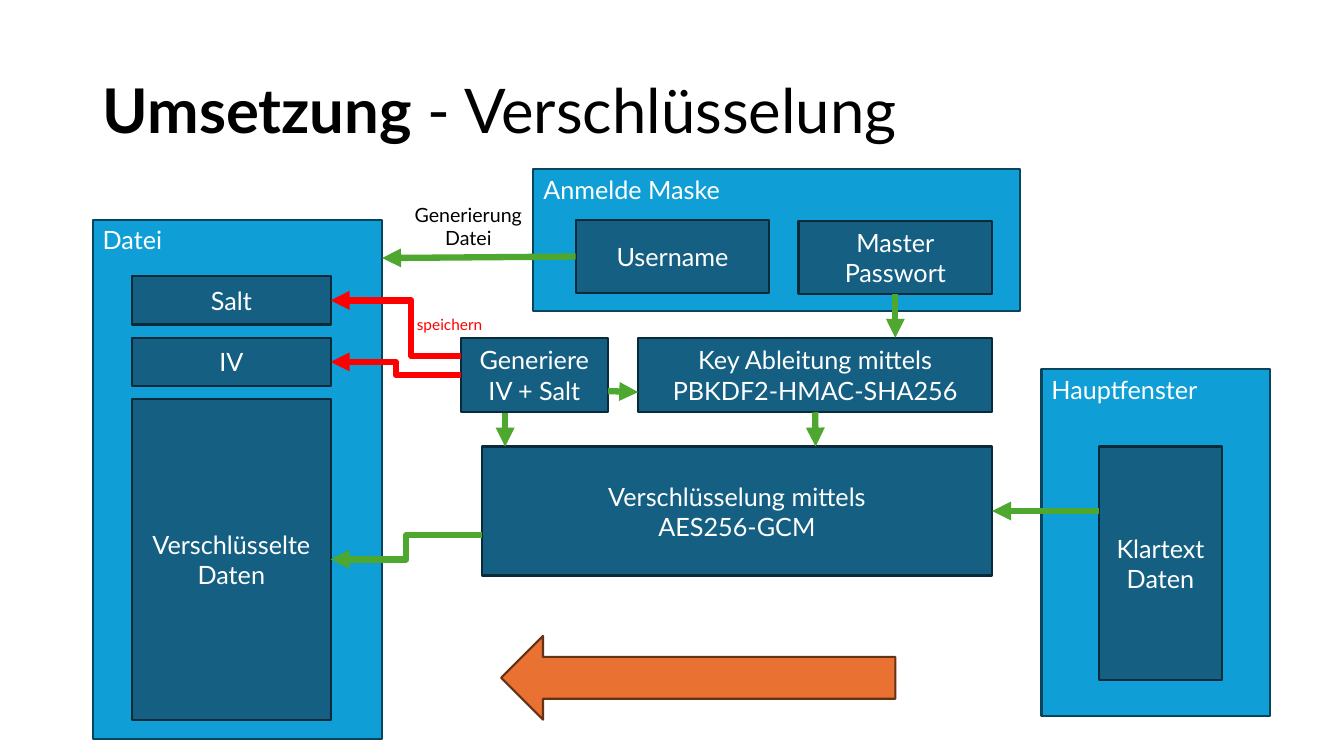
from dataclasses import dataclass
from lxml.etree import SubElement
from pptx import Presentation
from pptx.dml.color import RGBColor
from pptx.enum.shapes import MSO_CONNECTOR, MSO_SHAPE
from pptx.enum.text import MSO_ANCHOR, PP_ALIGN
from pptx.oxml.ns import qn
from pptx.util import Inches, Pt


@dataclass(frozen=True)
class Theme:
    font: str = "Lato"
    panel: str = "0F9ED5"
    rim: str = "07455D"
    box: str = "156082"
    edge: str = "092A39"
    green: str = "4EA72E"
    red: str = "FF0000"
    orange: str = "E97132"
    brown: str = "663216"
    white: str = "FFFFFF"
    black: str = "000000"
    title: int = 44
    body: int = 18
    label: int = 14
    small: int = 11
    border: float = 1.5
    arrow: float = 4.5


THEME = Theme()
TOP, LEFT, BOTTOM, RIGHT = range(4)


def color(code):
    return RGBColor.from_string(code)


def write(para, text, size, tone, bold=False):
    run = para.add_run()
    run.text = text
    run.font.name = THEME.font
    run.font.size = Pt(size)
    run.font.bold = bold
    run.font.color.rgb = color(tone)


def fill_text(frame, lines, size, tone, align):
    for i, line in enumerate(lines):
        para = frame.add_paragraph() if i else frame.paragraphs[0]
        para.alignment = align
        write(para, line, size, tone)


def add_block(slide, area, fill, line, kind=MSO_SHAPE.RECTANGLE):
    shape = slide.shapes.add_shape(kind, *map(Inches, area))
    shape.shadow.inherit = False
    shape.fill.solid()
    shape.fill.fore_color.rgb = color(fill)
    shape.line.color.rgb = color(line)
    shape.line.width = Pt(THEME.border)
    return shape


def add_panel(slide, area, name):
    frame = add_block(slide, area, THEME.panel, THEME.rim).text_frame
    frame.vertical_anchor = MSO_ANCHOR.TOP
    fill_text(frame, [name], THEME.body, THEME.white, PP_ALIGN.LEFT)


def add_box(slide, area, *lines):
    shape = add_block(slide, area, THEME.box, THEME.edge)
    frame = shape.text_frame
    frame.vertical_anchor = MSO_ANCHOR.MIDDLE
    fill_text(frame, lines, THEME.body, THEME.white, PP_ALIGN.CENTER)
    return shape


def add_label(slide, area, lines, size, tone):
    frame = slide.shapes.add_textbox(*map(Inches, area)).text_frame
    frame.word_wrap = False
    fill_text(frame, lines, size, tone, PP_ALIGN.CENTER)


def add_title(slide):
    area = map(Inches, (0.92, 0.4, 11.5, 1.45))
    frame = slide.shapes.add_textbox(*area).text_frame
    frame.word_wrap = True
    frame.vertical_anchor = MSO_ANCHOR.MIDDLE
    para = frame.paragraphs[0]
    para.line_spacing = 0.9
    write(para, "Umsetzung", THEME.title, THEME.black, True)
    write(para, " - Verschlüsselung", THEME.title, THEME.black)


def add_arrow(slide, tip, tail, tone=THEME.green, bend=None, into=None, out=None):
    kind = MSO_CONNECTOR.ELBOW if bend else MSO_CONNECTOR.STRAIGHT
    link = slide.shapes.add_connector(kind, *map(Inches, tip + tail))
    link.line.color.rgb = color(tone)
    link.line.width = Pt(THEME.arrow)
    if into:
        link.begin_connect(*into)
    if out:
        link.end_connect(*out)
    props = link._element.spPr
    SubElement(props.find(qn("a:ln")), qn("a:headEnd"), type="triangle")
    SubElement(props, qn("a:effectLst"))
    if bend:
        guides = props.find(qn("a:prstGeom")).find(qn("a:avLst"))
        SubElement(guides, qn("a:gd"), name="adj1", fmla=f"val {round(bend * 100000)}")


def main():
    deck = Presentation()
    deck.slide_width, deck.slide_height = Inches(13.33), Inches(7.5)
    slide = deck.slides.add_slide(deck.slide_layouts[6])

    add_panel(slide, (10.33, 3.66, 2.27, 3.44), "Hauptfenster")
    add_panel(slide, (5.29, 1.68, 4.83, 1.41), "Anmelde Maske")
    add_panel(slide, (0.92, 2.18, 2.87, 5.15), "Datei")
    add_title(slide)

    cipher = add_box(slide, (4.78, 4.43, 5.06, 1.28), "Verschlüsselung mittels", "AES256-GCM")
    salt = add_box(slide, (1.31, 2.74, 1.97, 0.48), "Salt")
    vector = add_box(slide, (1.31, 3.35, 1.97, 0.48), "IV")
    secret = add_box(slide, (1.31, 3.96, 1.97, 3.18), "Verschlüsselte", "Daten")
    master = add_box(slide, (7.92, 2.19, 1.92, 0.73), "Master", "Passwort")
    key = add_box(slide, (6.33, 3.35, 3.51, 0.74), "Key Ableitung mittels", "PBKDF2-HMAC-SHA256")
    add_box(slide, (10.9, 4.43, 1.22, 2.32), "Klartext", "Daten")
    user = add_box(slide, (5.71, 2.18, 1.92, 0.73), "Username")
    add_box(slide, (4.57, 3.35, 1.46, 0.74), "Generiere", "IV + Salt")

    add_arrow(slide, (3.28, 2.98), (4.57, 3.53), THEME.red, 0.62, into=(salt, RIGHT))
    add_arrow(slide, (3.28, 3.59), (4.57, 3.72), THEME.red, 0.5, into=(vector, RIGHT))
    add_arrow(slide, (3.28, 5.55), (4.78, 5.31), bend=0.5, into=(secret, RIGHT))
    add_arrow(slide, (8.88, 3.35), (8.88, 2.92), out=(master, BOTTOM))
    add_arrow(slide, (8.09, 4.43), (8.09, 4.09), out=(key, BOTTOM))
    add_arrow(slide, (9.84, 5.07), (10.9, 5.07), into=(cipher, RIGHT))
    add_arrow(slide, (3.79, 2.56), (5.71, 2.55), out=(user, LEFT))
    add_arrow(slide, (5.01, 4.43), (5.01, 4.1))
    add_arrow(slide, (6.33, 3.89), (6.03, 3.88))

    add_label(slide, (4, 1.96, 1.29, 0.57), ["Generierung", "Datei"], THEME.label, THEME.black)
    add_label(slide, (4.03, 3.08, 0.86, 0.29), ["speichern"], THEME.small, THEME.red)
    add_block(slide, (4.97, 6.31, 3.91, 0.83), THEME.orange, THEME.brown, MSO_SHAPE.LEFT_ARROW)
    deck.save("out.pptx")


if __name__ == "__main__":
    main()
